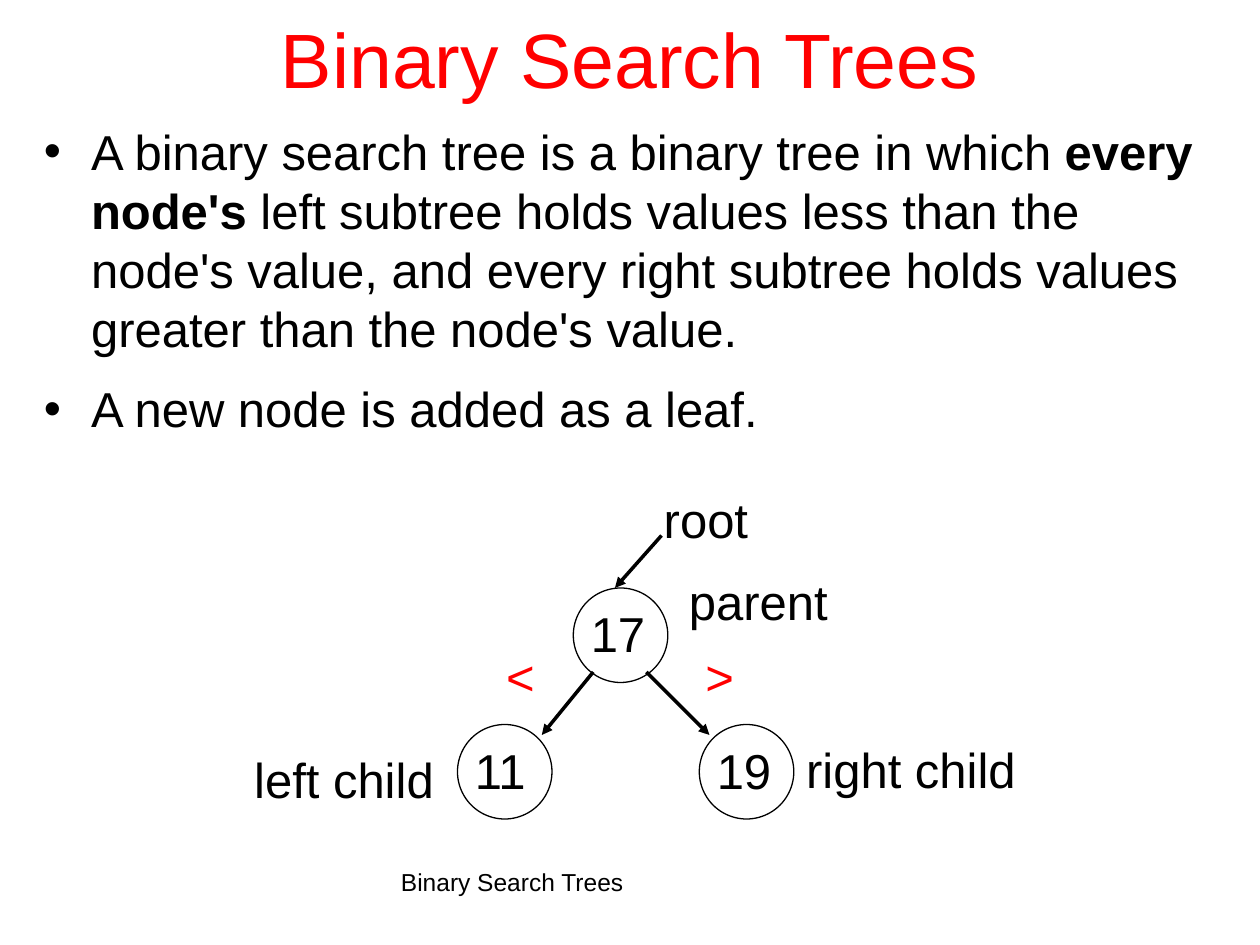
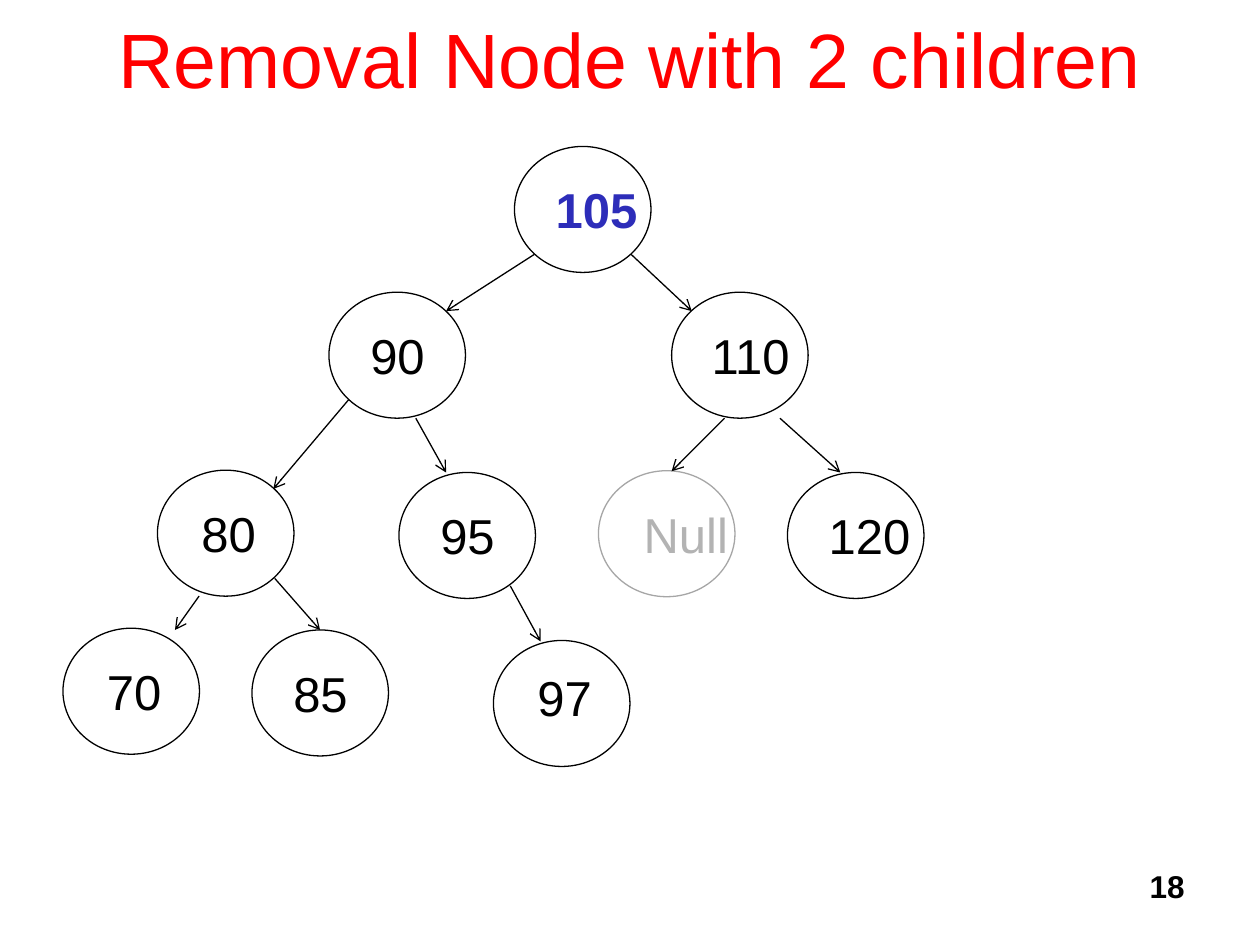
from typing import NamedTuple

from lxml import etree
from pptx import Presentation
from pptx.dml.color import RGBColor
from pptx.enum.shapes import MSO_CONNECTOR, MSO_SHAPE
from pptx.enum.text import MSO_ANCHOR, MSO_AUTO_SIZE, PP_ALIGN
from pptx.oxml.ns import qn
from pptx.util import Pt

# Shared style
BLACK = RGBColor(0x00, 0x00, 0x00)
RED = RGBColor(0xFF, 0x00, 0x00)
BLUE = RGBColor(0x2D, 0x2D, 0xB9)
OUTLINE_GREY = RGBColor(0xA6, 0xA6, 0xA6)
TEXT_GREY = RGBColor(0xB3, 0xB3, 0xB3)
FONT = "Arial"
TEXT_SIZE = 28
TITLE_SIZE = 44
THIN, THICK = 0.74, 2
FOOTER_TOP, FOOTER_HEIGHT = 492, 36
LABEL_HEIGHT = 41
BULLET_INDENT = 27
TITLE_ONLY = 5

LEFT, CENTER, RIGHT = PP_ALIGN.LEFT, PP_ALIGN.CENTER, PP_ALIGN.RIGHT
OVAL, STRAIGHT = MSO_SHAPE.OVAL, MSO_CONNECTOR.STRAIGHT
MIDDLE = MSO_ANCHOR.MIDDLE
NO_FIT, GROW = MSO_AUTO_SIZE.NONE, MSO_AUTO_SIZE.SHAPE_TO_FIT_TEXT


class Label(NamedTuple):
    text: str
    left: float
    top: float
    width: float
    color: RGBColor = BLACK
    bold: bool = False


class Node(NamedTuple):
    text: str
    left: float
    top: float
    label_x: float = 16.5  # label offset inside the node
    label_y: float = 15.5
    label_width: float = 46
    width: float = 78
    height: float = 72
    color: RGBColor = BLACK
    outline: RGBColor = BLACK
    bold: bool = False


class Edge(NamedTuple):
    start_x: float
    start_y: float
    end_x: float
    end_y: float


# Drawing functions
def style_paragraph(paragraph, size: float, color: RGBColor = BLACK,
                    bold: bool = False, align=LEFT) -> None:
    paragraph.alignment = align
    font = paragraph.font
    font.name, font.size, font.bold = FONT, Pt(size), bold
    font.color.rgb = color


def add_titled_slide(presentation, title: str):
    slide = presentation.slides.add_slide(presentation.slide_layouts[TITLE_ONLY])
    shape = slide.shapes.title
    shape.left, shape.top = Pt(54), Pt(-12)
    shape.width, shape.height = Pt(612), Pt(90)
    frame = shape.text_frame
    frame.text = title
    frame.auto_size, frame.vertical_anchor = NO_FIT, MIDDLE
    style_paragraph(frame.paragraphs[0], TITLE_SIZE, RED, align=CENTER)
    return slide


def add_label(slide, label: Label) -> None:
    box = slide.shapes.add_textbox(Pt(label.left), Pt(label.top),
                                   Pt(label.width), Pt(LABEL_HEIGHT))
    frame = box.text_frame
    frame.text = label.text
    frame.word_wrap, frame.auto_size = False, GROW
    style_paragraph(frame.paragraphs[0], TEXT_SIZE, label.color, label.bold)


def add_footer(slide, text: str, left: float, width: float, size: float,
               bold: bool = False, align=LEFT) -> None:
    box = slide.shapes.add_textbox(Pt(left), Pt(FOOTER_TOP), Pt(width), Pt(FOOTER_HEIGHT))
    box.text_frame.word_wrap = True
    box.text_frame.text = text
    style_paragraph(box.text_frame.paragraphs[0], size, bold=bold, align=align)


def add_node(slide, node: Node) -> None:
    oval = slide.shapes.add_shape(OVAL, Pt(node.left), Pt(node.top),
                                  Pt(node.width), Pt(node.height))
    oval.shadow.inherit = False
    oval.fill.background()
    oval.line.color.rgb = node.outline
    oval.line.width = Pt(THIN)
    add_label(slide, Label(node.text, node.left + node.label_x, node.top + node.label_y,
                           node.label_width, node.color, node.bold))


def add_edge(slide, edge: Edge, width: float, arrowhead: str) -> None:
    connector = slide.shapes.add_connector(STRAIGHT, *(Pt(value) for value in edge))
    connector.line.color.rgb = BLACK
    connector.line.width = Pt(width)
    properties = connector._element.spPr
    etree.SubElement(properties.find(qn("a:ln")), qn("a:tailEnd"), type=arrowhead)
    etree.SubElement(properties, qn("a:effectLst"))


def add_bullet(paragraph, runs: list[tuple[str, bool]], space_before: float) -> None:
    style_paragraph(paragraph, TEXT_SIZE)
    paragraph.space_before = Pt(space_before)
    for text, bold in runs:
        run = paragraph.add_run()
        run.text = text
        if bold:
            run.font.bold = True
    properties = paragraph._p.get_or_add_pPr()
    properties.set("marL", str(Pt(BULLET_INDENT)))
    properties.set("indent", str(-Pt(BULLET_INDENT)))
    default_font = properties.find(qn("a:defRPr"))
    default_font.addprevious(etree.Element(qn("a:buFont"), typeface=FONT))
    default_font.addprevious(etree.Element(qn("a:buChar"), char="•"))


presentation = Presentation()
presentation.slide_width, presentation.slide_height = Pt(720), Pt(540)

# Slide 1: definition with a three-node tree
slide = add_titled_slide(presentation, "Binary Search Trees")
body = slide.shapes.add_textbox(Pt(18), Pt(66), Pt(684), Pt(432)).text_frame
body.word_wrap = True
add_bullet(body.paragraphs[0], [
    ("A binary search tree is a binary tree in which ", False),
    ("every node's ", True),
    ("left subtree holds values less than the node's value, "
     "and every right subtree holds values greater than the node's value.", False),
], 7)
add_bullet(body.add_paragraph(), [("A new node is added as a leaf.", False)], 12.5)

for text, left, top in [("17", 327.6, 336), ("11", 261.4, 414), ("19", 399.6, 414)]:
    add_node(slide, Node(text, left, top, 2.9, 5.6, width=54, height=54))

for edge in [
    Edge(378, 306, 351.4, 336),
    Edge(339, 384, 309.6, 420),
    Edge(369.4, 384, 405.4, 420),
]:
    add_edge(slide, edge, THICK, "triangle")

for label in [
    Label("root", 372.2, 276, 63),
    Label("parent", 386.6, 323.3, 94),
    Label("left child", 138.2, 425, 118),
    Label("right child", 453.6, 419, 135),
    Label("<", 282.2, 366, 31, RED),
    Label(">", 396, 366, 31, RED),
]:
    add_label(slide, label)
add_footer(slide, "Binary Search Trees", 222, 276, 14)

# Slide 2: tree for the removal example
slide = add_titled_slide(presentation, "Removal Node with 2 children")
for node in [
    Node("105", 294, 83.7, label_width=61.5, color=BLUE, bold=True),
    Node("90", 188, 167),
    Node("110", 383.8, 167, label_x=15.8, label_width=61.5),
    Node("80", 90, 268.7, label_x=18),
    Node("95", 228, 270),
    Node("Null", 342, 269, label_x=18.7, label_width=63,
         color=TEXT_GREY, outline=OUTLINE_GREY),
    Node("120", 450, 270, label_width=61.5),
    Node("70", 36, 359, label_x=18),
    Node("85", 144, 360),
    Node("97", 282, 366, label_x=18, label_y=12),
]:
    add_node(slide, node)

for edge in [
    Edge(305.3, 145.4, 254.9, 177.8),
    Edge(360.7, 145.4, 395.3, 177.8),
    Edge(199.4, 228.2, 156.2, 279.4),
    Edge(237.6, 239, 254.9, 270),
    Edge(414, 239, 383.8, 269.3),
    Edge(445.7, 239, 480.2, 270),
    Edge(113.8, 340.6, 100, 360),
    Edge(157, 330.5, 182.9, 360),
    Edge(291.6, 334.8, 308.9, 366.5),
]:
    add_edge(slide, edge, THIN, "arrow")
add_footer(slide, "18", 534, 150, 18, bold=True, align=RIGHT)

presentation.save("out.pptx")
